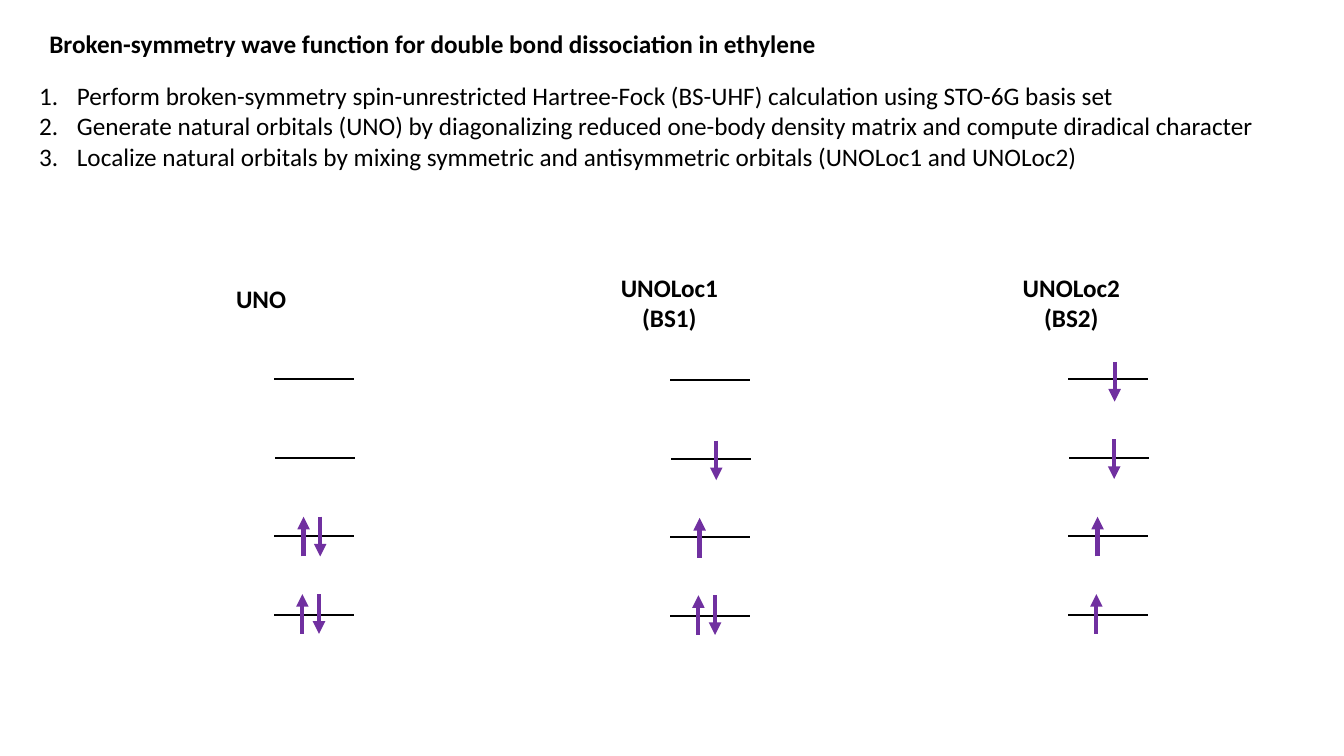
from pptx import Presentation
from pptx.dml.color import RGBColor
from pptx.enum.shapes import MSO_CONNECTOR
from pptx.enum.text import MSO_ANCHOR, MSO_AUTO_SIZE, PP_ALIGN
from pptx.oxml.ns import qn
from pptx.util import Cm, Pt
from lxml.etree import SubElement

# Content
TITLE = "Broken-symmetry wave function for double bond dissociation in ethylene"
STEPS = [
    "Perform broken-symmetry spin-unrestricted Hartree-Fock (BS-UHF) calculation using STO-6G basis set",
    "Generate natural orbitals (UNO) by diagonalizing reduced one-body density matrix and compute diradical character",
    "Localize natural orbitals by mixing symmetric and antisymmetric orbitals (UNOLoc1 and UNOLoc2)",
]
# Label, label box (left, top, width, height), level origin, spins from the top level down
COLUMNS = [
    ("UNO", (5.69, 7.01, 1.78, 1.03), (6.91, 9.55), ["", "", "ud", "ud"]),
    ("UNOLoc1\n(BS1)", (15.37, 6.73, 3, 1.8), (16.89, 9.58), ["", "d", "u", "ud"]),
    ("UNOLoc2\n(BS2)", (25.5, 6.73, 3, 1.8), (26.92, 9.55), ["d", "d", "u", "u"]),
]

# Geometry in cm
LEVEL, GAP = 2.0, 1.98
SHIFT = [0, 0.03, 0, 0]
ARROW, RISE, PITCH = 1.0, 0.43, 1.95
LEAN = [0.04, 0.03, 0.03, 0]
SPIN = {"u": 0.71, "d": 1.13}
BLACK, PURPLE = "000000", "7030A0"


def color(code):
    return RGBColor.from_string(code)


def write(box, text, bold=False, align=PP_ALIGN.LEFT, wrap=True, number=False):
    frame = box.text_frame
    frame.text = text
    frame.word_wrap = wrap
    frame.auto_size = MSO_AUTO_SIZE.SHAPE_TO_FIT_TEXT
    frame.vertical_anchor = MSO_ANCHOR.TOP
    for para in frame.paragraphs:
        para.alignment = align
        if number:
            props = para._p.get_or_add_pPr()
            props.set("marL", str(Cm(0.95)))
            props.set("indent", str(-Cm(0.95)))
            SubElement(props, qn("a:buAutoNum"), type="arabicPeriod")
        for run in para.runs:
            font = run.font
            font.name, font.size, font.bold = "Calibri", Pt(18), bold
            font.color.rgb = color(BLACK)


def draw(slide, start, end, code, width, arrow=False):
    line = slide.shapes.add_connector(
        MSO_CONNECTOR.STRAIGHT, *(Cm(v) for v in start + end))
    line.line.color.rgb = color(code)
    line.line.width = Pt(width)
    if arrow:
        SubElement(line.line._get_or_add_ln(), qn("a:tailEnd"), type="triangle")
    SubElement(line._element.spPr, qn("a:effectLst"))


def main():
    deck = Presentation()
    deck.slide_width, deck.slide_height = Cm(33.87), Cm(19.05)
    slide = deck.slides.add_slide(deck.slide_layouts[5])

    # Title and numbered steps
    title = slide.shapes.title
    title.left, title.top, title.width, title.height = (
        Cm(v) for v in (0.99, 0.58, 22.2, 1.03))
    write(title, TITLE, bold=True)
    steps = slide.shapes.add_textbox(Cm(0.74), Cm(1.9), Cm(31.47), Cm(2.57))
    write(steps, "\n".join(STEPS), number=True)

    # Orbital diagrams
    for label, frame, (left, top), spins in COLUMNS:
        box = slide.shapes.add_textbox(*(Cm(v) for v in frame))
        write(box, label, bold=True, align=PP_ALIGN.CENTER, wrap=False)
        for row, filling in enumerate(spins):
            x, y = left + SHIFT[row], top + row * GAP
            draw(slide, (x, y), (x + LEVEL, y), BLACK, 1.5)
            high = top - RISE + row * PITCH
            for spin in filling:
                x = left + SPIN[spin] + LEAN[row]
                ends = [(x, high), (x, high + ARROW)]
                if spin == "u":
                    ends.reverse()
                draw(slide, *ends, PURPLE, 3, arrow=True)

    deck.save("out.pptx")


if __name__ == "__main__":
    main()
